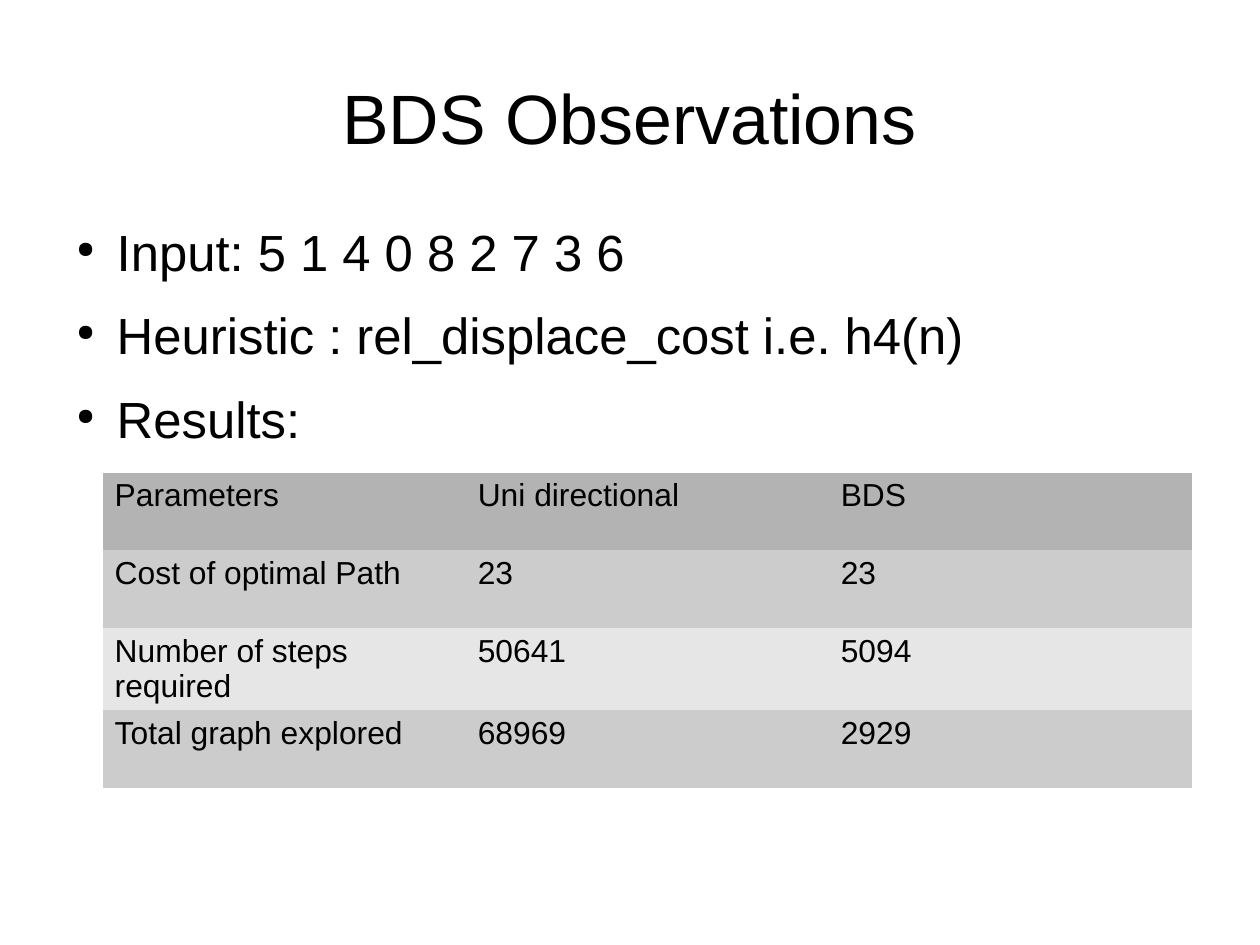
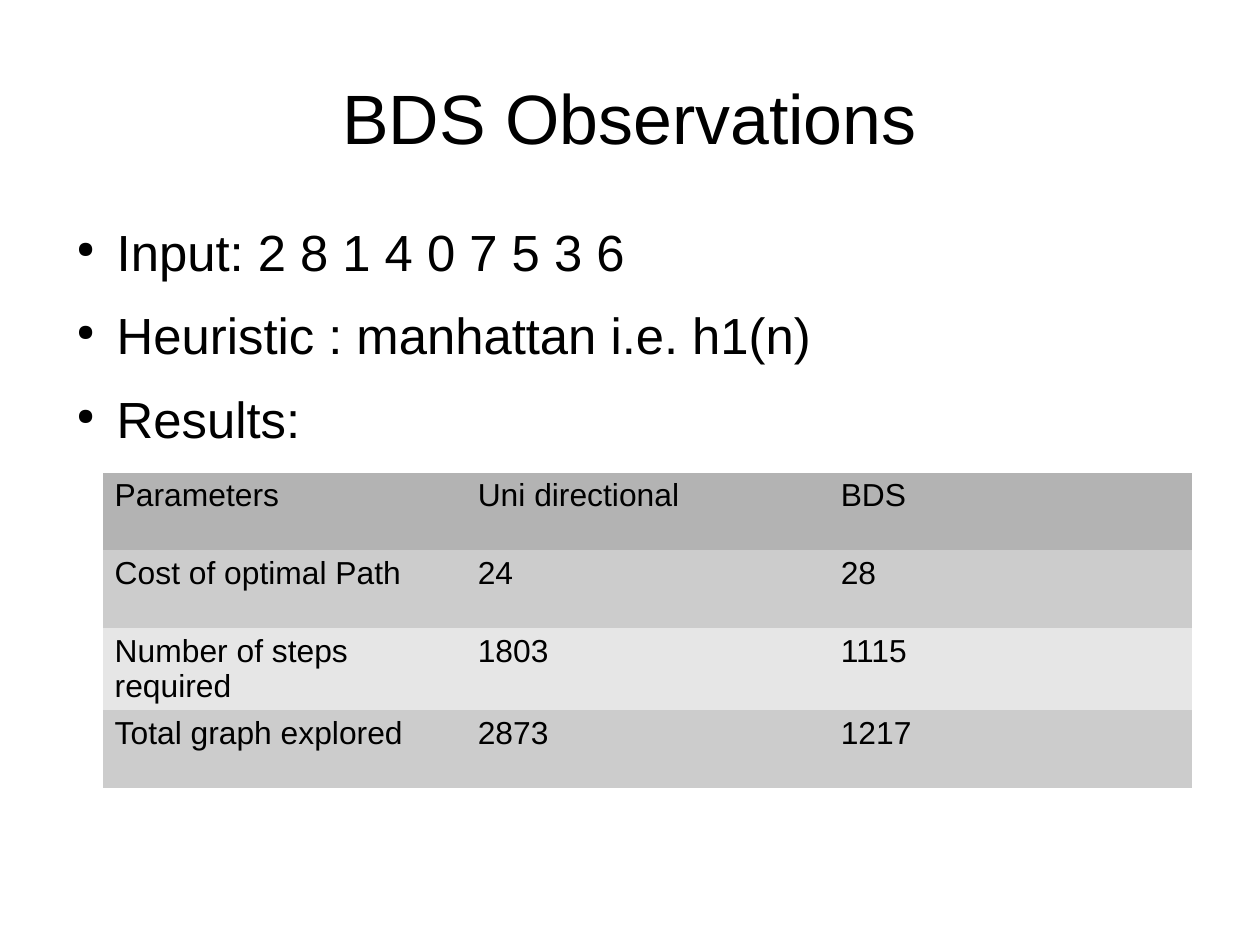
from dataclasses import dataclass

from lxml.etree import SubElement
from pptx import Presentation
from pptx.dml.color import RGBColor
from pptx.enum.text import MSO_ANCHOR, MSO_AUTO_SIZE, PP_ALIGN
from pptx.oxml.ns import qn
from pptx.presentation import Presentation as Deck
from pptx.shapes.base import BaseShape
from pptx.slide import Slide
from pptx.table import _Cell
from pptx.text.text import TextFrame, _Paragraph
from pptx.util import Cm, Inches, Pt

BLACK = RGBColor(0x00, 0x00, 0x00)
HEADER_GREY = RGBColor(0xB3, 0xB3, 0xB3)
ROW_GREYS = (RGBColor(0xCC, 0xCC, 0xCC), RGBColor(0xE6, 0xE6, 0xE6))
FONT = "Arial"
BULLET_FONT = "OpenSymbol"

SLIDE_WIDTH = Cm(28)
SLIDE_HEIGHT = Cm(21)
GRID = 60
COLUMN = SLIDE_WIDTH / GRID
ROW = SLIDE_HEIGHT / GRID

TITLE = "BDS Observations"
HEADINGS = ("Parameters", "Uni directional", "BDS")
COST, STEPS, EXPLORED = "Cost of optimal Path", "Number of steps required", "Total graph explored"


@dataclass(frozen=True)
class Area:
    column: float
    row: float
    columns: float
    rows: float

    def box(self) -> tuple[int, int, int, int]:
        return (round(self.column * COLUMN), round(self.row * ROW),
                round(self.columns * COLUMN), round(self.rows * ROW))


@dataclass(frozen=True)
class Measure:
    parameter: str
    uni_directional: int
    bds: int

    def texts(self) -> tuple[str, str, str]:
        return self.parameter, str(self.uni_directional), str(self.bds)


@dataclass(frozen=True)
class Observation:
    puzzle: str
    heuristic: str
    measures: tuple[Measure, ...]


TITLE_AREA = Area(3, 2.4, 54, 10)
BODY_AREA = Area(3, 14, 52.8, 34.8)
TABLE_AREA = Area(4.92, 30, 51.86, 4 * 4.94)

OBSERVATIONS = (
    Observation("5 1 4 0 8 2 7 3 6", "rel_displace_cost i.e. h4(n)",
                (Measure(COST, 23, 23), Measure(STEPS, 50641, 5094), Measure(EXPLORED, 68969, 2929))),
    Observation("2 8 1 4 0 7 5 3 6", "manhattan i.e. h1(n)",
                (Measure(COST, 24, 28), Measure(STEPS, 1803, 1115), Measure(EXPLORED, 2873, 1217))),
)


def write(paragraph: _Paragraph, text: str, size: float, align: PP_ALIGN) -> None:
    paragraph.alignment = align
    run = paragraph.add_run()
    run.text = text
    run.font.name = FONT
    run.font.size = Pt(size)
    run.font.color.rgb = BLACK


def place(placeholder: BaseShape, area: Area, anchor: MSO_ANCHOR, fit: MSO_AUTO_SIZE) -> TextFrame:
    placeholder.left, placeholder.top, placeholder.width, placeholder.height = area.box()
    frame = placeholder.text_frame
    frame.margin_left = frame.margin_top = frame.margin_right = frame.margin_bottom = 0
    frame.word_wrap = True
    frame.vertical_anchor = anchor
    frame.auto_size = fit
    return frame


def add_bullet(paragraph: _Paragraph) -> None:
    paragraph.space_before = Pt(0)
    paragraph.space_after = Pt(14.2)
    properties = paragraph._p.get_or_add_pPr()
    properties.set("marL", str(Inches(0.47)))
    properties.set("indent", str(Inches(-0.35)))
    color = SubElement(properties, qn("a:buClr"))
    SubElement(color, qn("a:srgbClr"), val=str(BLACK))
    SubElement(properties, qn("a:buSzPct"), val="45000")
    SubElement(properties, qn("a:buFont"), typeface=BULLET_FONT)
    SubElement(properties, qn("a:buChar"), char="●")


def add_title(slide: Slide) -> None:
    frame = place(slide.shapes.title, TITLE_AREA, MSO_ANCHOR.MIDDLE, MSO_AUTO_SIZE.SHAPE_TO_FIT_TEXT)
    write(frame.paragraphs[0], TITLE, 44, PP_ALIGN.CENTER)


def add_setup(slide: Slide, observation: Observation) -> None:
    frame = place(slide.placeholders[1], BODY_AREA, MSO_ANCHOR.TOP, MSO_AUTO_SIZE.NONE)
    points = (f"Input: {observation.puzzle}", f"Heuristic : {observation.heuristic}", "Results:")
    for index, point in enumerate(points):
        paragraph = frame.add_paragraph() if index else frame.paragraphs[0]
        write(paragraph, point, 32, PP_ALIGN.LEFT)
        add_bullet(paragraph)


def clear_borders(cell: _Cell) -> None:
    properties = cell._tc.get_or_add_tcPr()
    for position, side in enumerate(("a:lnL", "a:lnR", "a:lnT", "a:lnB")):
        border = SubElement(properties, qn(side), w="0")
        SubElement(border, qn("a:noFill"))
        properties.insert(position, border)


def add_results(slide: Slide, measures: tuple[Measure, ...]) -> None:
    rows = (HEADINGS, *(measure.texts() for measure in measures))
    results = slide.shapes.add_table(len(rows), len(HEADINGS), *TABLE_AREA.box()).table
    for row, texts in enumerate(rows):
        shade = ROW_GREYS[(row - 1) % len(ROW_GREYS)] if row else HEADER_GREY
        for column, text in enumerate(texts):
            cell = results.cell(row, column)
            cell.fill.solid()
            cell.fill.fore_color.rgb = shade
            align = PP_ALIGN.LEFT if text == STEPS else PP_ALIGN.JUSTIFY
            write(cell.text_frame.paragraphs[0], text, 20, align)
            clear_borders(cell)


def add_observation(deck: Deck, observation: Observation) -> None:
    slide = deck.slides.add_slide(deck.slide_layouts[1])
    add_title(slide)
    add_setup(slide, observation)
    add_results(slide, observation.measures)


def main() -> None:
    deck = Presentation()
    deck.slide_width = SLIDE_WIDTH
    deck.slide_height = SLIDE_HEIGHT
    for observation in OBSERVATIONS:
        add_observation(deck, observation)
    deck.save("out.pptx")


if __name__ == "__main__":
    main()
